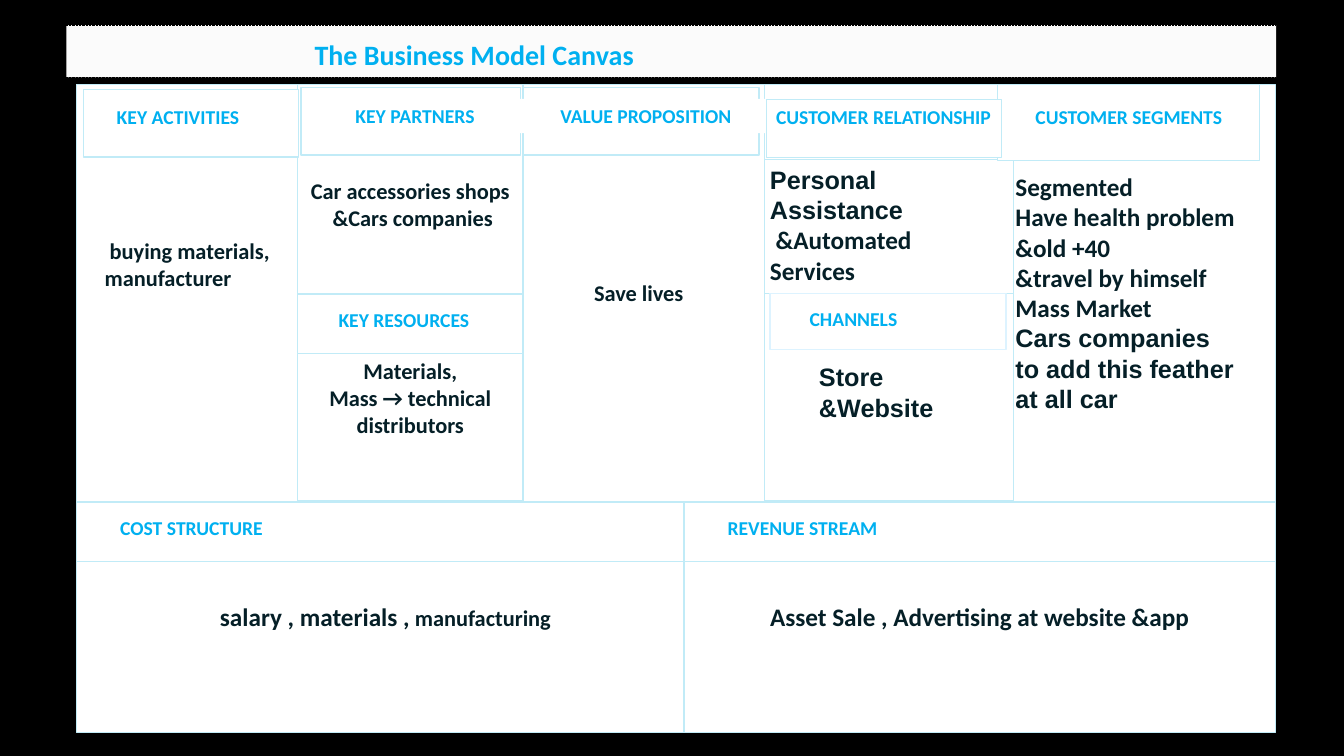
from lxml import etree
from pptx import Presentation
from pptx import util as u
from pptx.dml.color import RGBColor
from pptx.enum import dml, shapes, text
from pptx.oxml import ns

COLORS = {"back": "000000", "bar": "FBFBFB", "cell": "FFFFFF", "edge": "C1EBF7",
          "pale": "DDF3FF", "heading": "00B0F0", "ink": "051F27"}
# Canvas grid lines, in percent of the slide's width and height
COLS = [5.7, 22.13, 38.93, 56.9, 75.4, 94.9]
ROWS = [11.2, 38.8, 66.3, 96.9]
SPLIT = 50.9
LABEL_H = 4.53


def rgb(name):
    return RGBColor.from_string(COLORS[name])


class Canvas:
    """Draws on one slide; every box is (left, top, width, height) in percent."""

    def __init__(self, deck, layout):
        self.deck = deck
        self.slide = deck.slides.add_slide(deck.slide_layouts[layout])
        self.slide.background.fill.solid()
        self.slide.background.fill.fore_color.rgb = rgb("back")

    def x(self, share):
        return round(self.deck.slide_width * share / 100)

    def y(self, share):
        return round(self.deck.slide_height * share / 100)

    def place(self, box):
        left, top, width, height = box
        return self.x(left), self.y(top), self.x(width), self.y(height)

    def rect(self, box, fill="cell", edge=None, weight=1):
        area = self.slide.shapes.add_shape(shapes.MSO_SHAPE.RECTANGLE, *self.place(box))
        area.shadow.inherit = False
        area.fill.solid()
        area.fill.fore_color.rgb = rgb(fill)
        if edge:
            area.line.color.rgb = rgb(edge)
            area.line.width = u.Pt(weight)
        else:
            area.line.fill.background()
        return area

    def set_text(self, frame, lines, size=16, face="Calibri", color="ink",
                 align=text.PP_ALIGN.LEFT, anchor=text.MSO_ANCHOR.TOP):
        frame.word_wrap = True
        frame.auto_size = text.MSO_AUTO_SIZE.NONE
        frame.vertical_anchor = anchor
        frame.text = "\n".join(lines)
        for line in frame.paragraphs:
            line.alignment = align
            line.font.size = u.Pt(size)
            line.font.name = face
            line.font.bold = True
            line.font.color.rgb = rgb(color)
        return frame

    def cell(self, left, right, top, bottom, lines=(), size=16):
        """Framed block between grid lines, with centred text."""
        block = self.rect((left, top, right - left, bottom - top), edge="edge")
        return self.set_text(block.text_frame, lines, size, align=text.PP_ALIGN.CENTER,
                             anchor=text.MSO_ANCHOR.MIDDLE)

    def label(self, words, box, edge=None):
        tag = self.rect(box, edge=edge, weight=0.75)
        frame = self.set_text(tag.text_frame, [words], 14, color="heading")
        frame.margin_right = u.Inches(0.05)

    def note(self, box, lines, size=18, face="Calibri"):
        return self.set_text(self.slide.shapes.add_textbox(*self.place(box)).text_frame,
                             lines, size, face)

    def dotted(self, left, right, level):
        rule = self.slide.shapes.add_connector(
            shapes.MSO_CONNECTOR.STRAIGHT,
            self.x(left), self.y(level), self.x(right), self.y(level))
        rule.line.color.rgb = rgb("back")
        rule.line.width = u.Pt(0.5)
        rule.line.dash_style = dml.MSO_LINE.ROUND_DOT
        etree.SubElement(rule.element.spPr, ns.qn("a:effectLst"))

    def placeholder(self, index, box, lines, size, color):
        """Fills a template placeholder, brought to the front, without bullets."""
        holder = self.slide.placeholders[index]
        holder.left, holder.top, holder.width, holder.height = self.place(box)
        holder.element.getparent().append(holder.element)
        frame = holder.text_frame
        frame.text = "\n".join(lines)
        for line in frame.paragraphs:
            props = line._p.get_or_add_pPr()
            props.set("marL", "0")
            props.set("indent", "0")
            etree.SubElement(props, ns.qn("a:buNone"))
            line.space_before = u.Pt(0)
            line.font.size = u.Pt(size)
            line.font.name = "Calibri"
            line.font.bold = True
            line.font.color.rgb = rgb(color)
            line.alignment = text.PP_ALIGN.LEFT
        frame.word_wrap = True
        frame.auto_size = text.MSO_AUTO_SIZE.NONE
        frame.vertical_anchor = text.MSO_ANCHOR.TOP
        return frame


def main():
    deck = Presentation()
    deck.slide_width, deck.slide_height = u.Inches(13.33), u.Inches(7.5)
    canvas = Canvas(deck, 1)

    canvas.rect((4.95, 3.33, 90, 6.93), fill="bar")
    canvas.placeholder(0, (22.65, 4.27, 52.35, 5.87),
                       ["The Business Model Canvas"], 20, "heading")
    for level in (3.33, 10.27):
        canvas.dotted(4.9, 94.95, level)

    top, middle, lower, bottom = ROWS
    canvas.cell(COLS[0], COLS[1], top, lower)
    partners = canvas.cell(COLS[1], COLS[2], top, middle,
                           ["Car accessories shops", " &Cars companies"])
    partners.margin_top = u.Inches(0.34)
    canvas.cell(COLS[1], COLS[2], middle, lower,
                ["Materials,", "Mass → technical", "distributors"])
    value = canvas.cell(COLS[2], COLS[3], top, lower, ["Save lives"])
    value.margin_right = u.Inches(0.2)
    canvas.cell(COLS[3], COLS[4], top, middle)
    canvas.cell(COLS[3], COLS[4], middle, lower)
    canvas.cell(COLS[4], COLS[5], top, lower)
    costs = canvas.cell(COLS[0], SPLIT, lower, bottom, ["salary , materials ,"], 18)
    costs.margin_left = u.Inches(0.2)
    smaller = costs.paragraphs[0].add_run()
    smaller.text = " manufacturing"
    smaller.font.size = u.Pt(16)
    canvas.cell(SPLIT, COLS[5], lower, bottom,
                ["Asset Sale , Advertising at website &app"], 18)

    for box, edge in [
        ((COLS[3], top, 18.5, 9.87), "edge"),
        ((57.3, middle, 17.55, 7.47), "pale"),
        ((74.2, top, 19.5, 10), "edge"),
        ((COLS[2], 11.6, 17.55, 8.93), "edge"),
        ((22.4, 11.6, 16.35, 8.93), "edge"),
        ((6.2, 11.87, 16, 8.93), "edge"),
        ((COLS[1], 38.93, COLS[2] - COLS[1], 7.87), "edge"),
        ((SPLIT, 66.4, COLS[5] - SPLIT, 7.87), "edge"),
        ((COLS[0], 66.4, SPLIT - COLS[0], 7.87), "edge"),
    ]:
        canvas.rect(box, edge=edge)

    for words, box, edge in [
        ("KEY ACTIVITIES", (7.95, 13.2, 14.2, LABEL_H), None),
        ("VALUE PROPOSITION", (40.95, 13.07, 16.6, LABEL_H), None),
        ("CUSTOMER RELATIONSHIP", (57, 13.2, 17.5, 7.6), "edge"),
        ("CUSTOMER SEGMENTS", (76.3, 13.2, 16.5, 7.6), None),
        ("KEY PARTNERS", (25.7, 13.07, 13.3, LABEL_H), None),
        ("KEY RESOURCES", (24.45, 40.1, 12.75, LABEL_H), None),
        ("CHANNELS", (59.5, 40, 9, LABEL_H), None),
        ("COST STRUCTURE", (8.2, 67.6, 13.5, LABEL_H), None),
        ("REVENUE STREAM", (53.4, 67.6, 13.9, LABEL_H), None),
    ]:
        canvas.label(words, box, edge)

    segments = canvas.placeholder(
        1, (74.8, 22, 17.85, 37.7),
        ["Segmented", "Have health problem", "&old +40", "&travel by himself",
         "Mass Market", "Cars companies to add this feather at all car"], 18, "ink")
    segments.margin_right = u.Inches(0.08)
    segments.paragraphs[-1].font.name = "Arial"
    canvas.note((60.2, 47.2, 11.2, 9.47), ["Store", "&Website"], face="Arial")
    relations = canvas.note((56.55, 21.07, 17.8, 17.5),
                            ["Personal Assistance", " &Automated Services"])
    relations.paragraphs[0].font.name = "Arial"
    canvas.note((7.05, 30.67, 14.6, 8.9), [" buying materials,", "manufacturer"], 16)

    deck.save("out.pptx")


if __name__ == "__main__":
    main()
